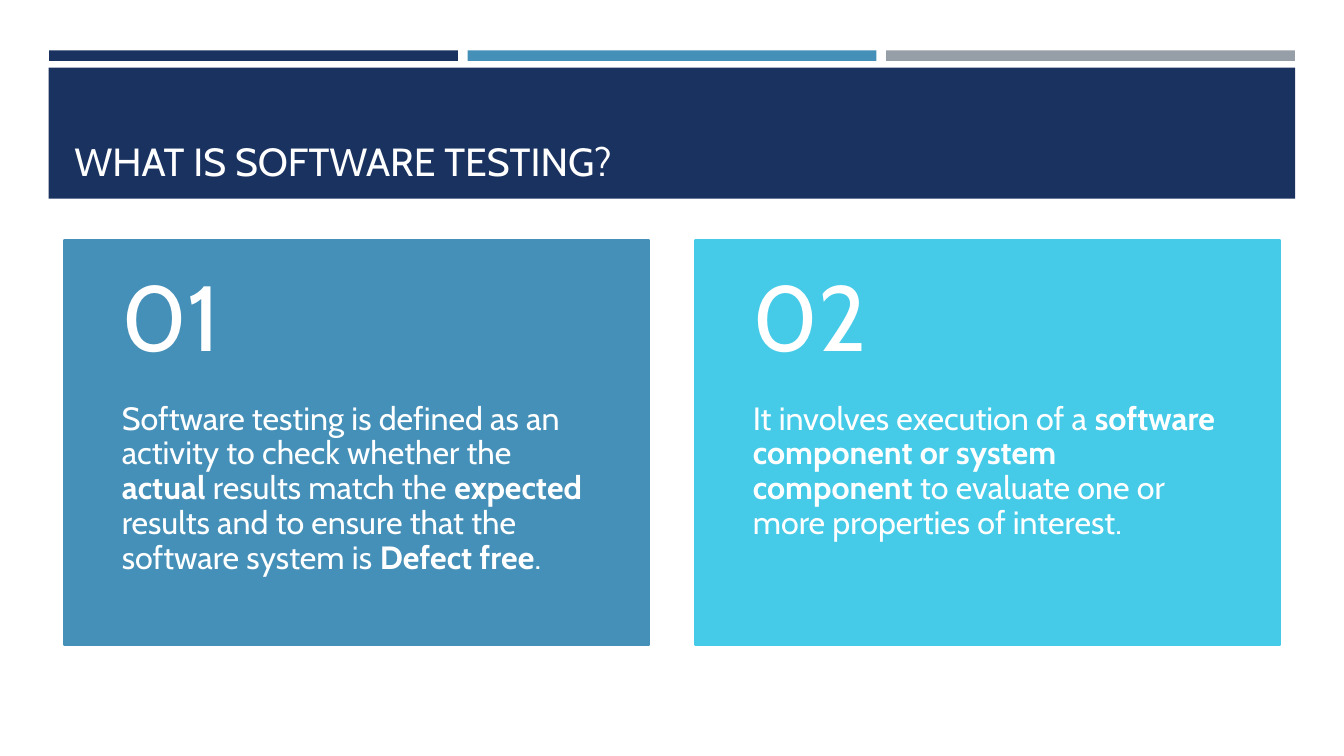
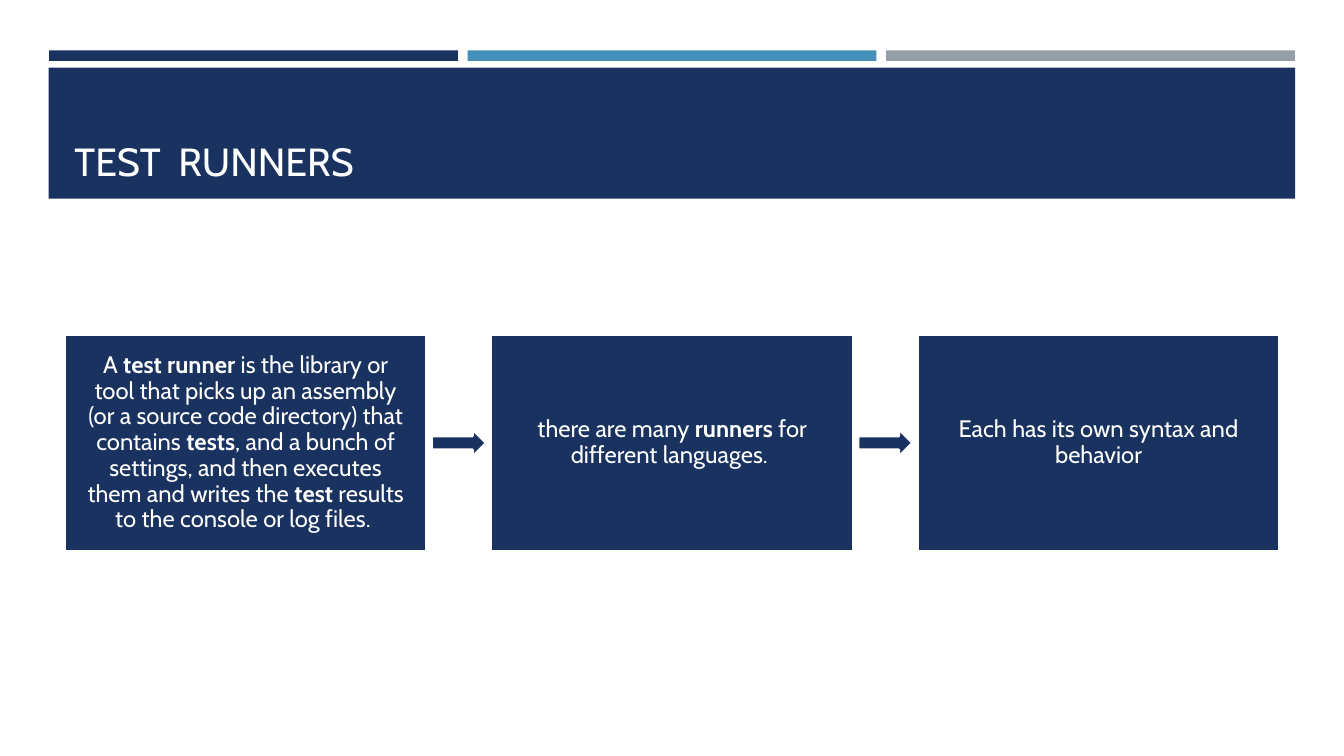
from lxml import etree
from pptx import Presentation
from pptx.dml.color import RGBColor
from pptx.enum.shapes import MSO_SHAPE
from pptx.enum.text import MSO_ANCHOR, MSO_AUTO_SIZE, PP_ALIGN
from pptx.util import Pt

RECTANGLE, RIGHT_ARROW = MSO_SHAPE.RECTANGLE, MSO_SHAPE.RIGHT_ARROW
TOP, MIDDLE, BOTTOM = MSO_ANCHOR.TOP, MSO_ANCHOR.MIDDLE, MSO_ANCHOR.BOTTOM
LEFT, CENTER = PP_ALIGN.LEFT, PP_ALIGN.CENTER
NO_AUTOFIT = MSO_AUTO_SIZE.NONE

NAVY = RGBColor(0x1A, 0x32, 0x60)
BLUE = RGBColor(0x45, 0x90, 0xB8)
GRAY = RGBColor(0x96, 0x9F, 0xA7)
CYAN = RGBColor(0x45, 0xCB, 0xE8)
WHITE = RGBColor(0xFF, 0xFF, 0xFF)
FONT = "Cabin"
TITLE_ONLY = 5

CARDS = [
    (BLUE, "01", "Software testing is defined as an activity to check whether the "
     "**actual **results match the **expected **results and to ensure that "
     "the software system is **Defect free**."),
    (CYAN, "02", "It involves execution of a** software component or system "
     "component** to evaluate one or more properties of interest."),
]
STEPS = [
    "A **test runner** is the library or tool that picks up an assembly "
    "(or a source code directory) that contains **tests**, and a bunch of "
    "settings, and then executes them and writes the **test** results to "
    "the console or log files. ",
    "there are many **runners** for different languages. ",
    "Each has its own syntax and behavior",
]


def add_block(slide, kind, left, top, width, height, fill, line=None):
    shape = slide.shapes.add_shape(kind, Pt(left), Pt(top), Pt(width), Pt(height))
    shape.shadow.inherit = False
    shape.fill.solid()
    shape.fill.fore_color.rgb = fill
    if line is None:
        shape.line.fill.background()
    else:
        shape.line.color.rgb = line
        shape.line.width = Pt(1.75)
    return shape


def write_text(shape, text, size, anchor, align, insets):
    frame = shape.text_frame
    frame.word_wrap = True
    frame.auto_size = NO_AUTOFIT
    frame.vertical_anchor = anchor
    frame.margin_left, frame.margin_top, frame.margin_right, frame.margin_bottom = map(Pt, insets)
    paragraph = frame.paragraphs[0]
    paragraph.alignment = align
    paragraph.line_spacing = 0.9
    paragraph.font.name = FONT
    paragraph.font.size = Pt(size)
    paragraph.font.color.rgb = WHITE
    for index, part in enumerate(text.split("**")):
        run = paragraph.add_run()
        run.text = part
        if index % 2:
            run.font.bold = True


def add_label(slide, left, top, width, height, text, size, anchor, insets):
    box = slide.shapes.add_textbox(Pt(left), Pt(top), Pt(width), Pt(height))
    write_text(box, text, size, anchor, LEFT, insets)


def style_layout(slide):
    layout = slide.slide_layout
    bands = [add_block(slide, RECTANGLE, 35 + 299 * index, 36, 292, 7.5, color)
             for index, color in enumerate((NAVY, BLUE, GRAY))]
    bands.append(add_block(slide, RECTANGLE, 34.8, 48.4, 890.4, 93.6, NAVY))
    tree = layout.shapes.element
    for position, band in enumerate(bands, start=2):
        band.element.getparent().remove(band.element)
        tree.insert(position, band.element)
    for index, band in enumerate(bands):
        band.element.nvSpPr.cNvPr.set("id", str(100 + index))
    title = layout.placeholders[0]
    title.left, title.top, title.width, title.height = Pt(46), Pt(55.4), Pt(868), Pt(80)


def add_slide(presentation, heading):
    slide = presentation.slides.add_slide(presentation.slide_layouts[TITLE_ONLY])
    title = slide.shapes.title
    title.text = heading
    title.text_frame.vertical_anchor = BOTTOM
    title.text_frame.auto_size = NO_AUTOFIT
    paragraph = title.text_frame.paragraphs[0]
    paragraph.alignment = LEFT
    paragraph.font.name = FONT
    paragraph.font.size = Pt(28)
    paragraph.font.color.rgb = WHITE
    return slide


def add_card(slide, left, color, number, text):
    top, width, number_height, text_height = 171.4, 417.6, 115.9, 173.5
    add_block(slide, RECTANGLE, left, top, width, number_height + text_height, color, color)
    add_label(slide, left, top + number_height, width, text_height, text, 23, TOP, (41, 0, 41, 26))
    add_label(slide, left, top, width, number_height, number, 66, MIDDLE, (41, 13, 41, 13))


def add_process(slide, steps):
    left, top, width, height, pitch = 46.3, 239, 258.4, 154.8, 304.6
    arrow_width, arrow_height = 38.9, 19.4
    gap = (pitch - width - arrow_width) / 2
    for index, text in enumerate(steps):
        step_left = left + pitch * index
        if index:
            add_block(slide, RIGHT_ARROW, step_left - gap - arrow_width,
                      top + (height - arrow_height) / 2, arrow_width, arrow_height, NAVY, WHITE)
        step = add_block(slide, RECTANGLE, step_left, top, width, height, NAVY, WHITE)
        write_text(step, text, 17, MIDDLE, CENTER, (12, 12, 12, 12))


def main():
    presentation = Presentation()
    presentation.slide_width, presentation.slide_height = Pt(960), Pt(540)

    slide = add_slide(presentation, "WHAT IS SOFTWARE TESTING?")
    style_layout(slide)
    for index, card in enumerate(CARDS):
        add_card(slide, 46 + 450.8 * index, *card)

    slide = add_slide(presentation, "TEST  RUNNERS")
    add_process(slide, STEPS)

    presentation.save("out.pptx")


if __name__ == "__main__":
    main()
